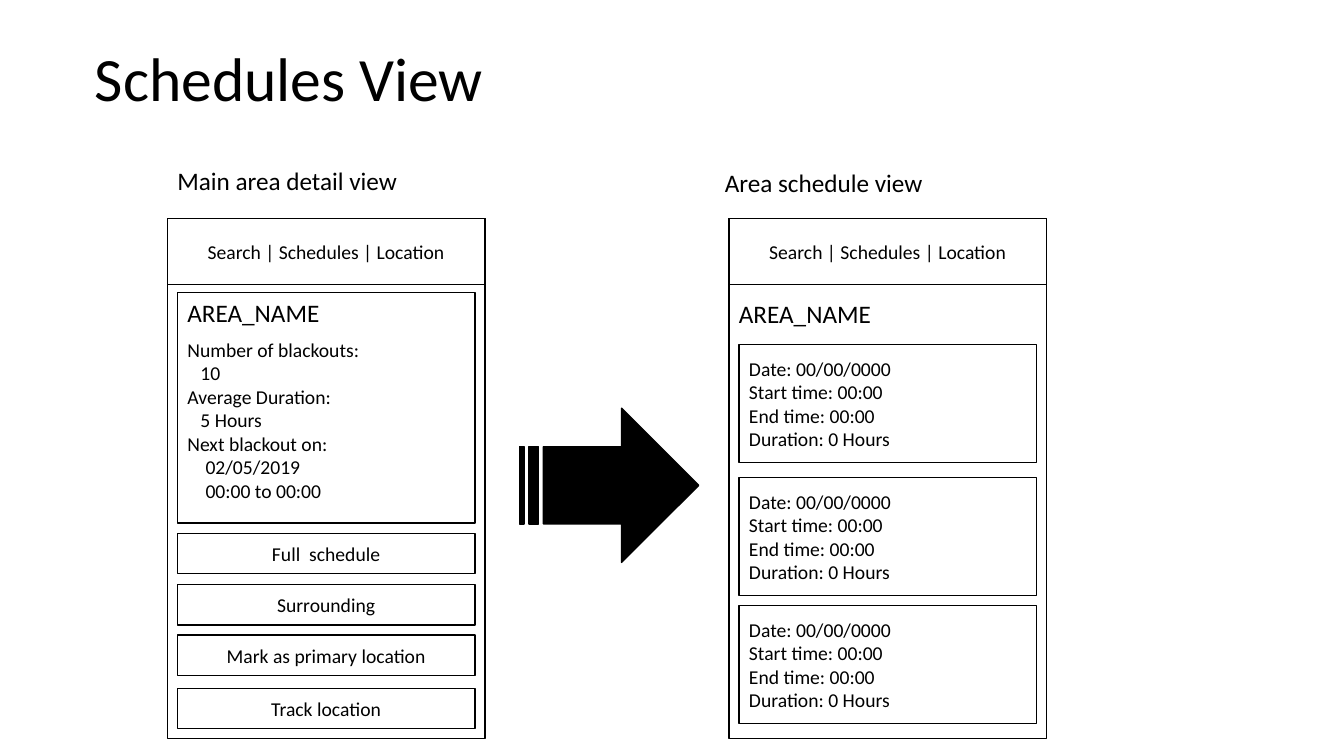
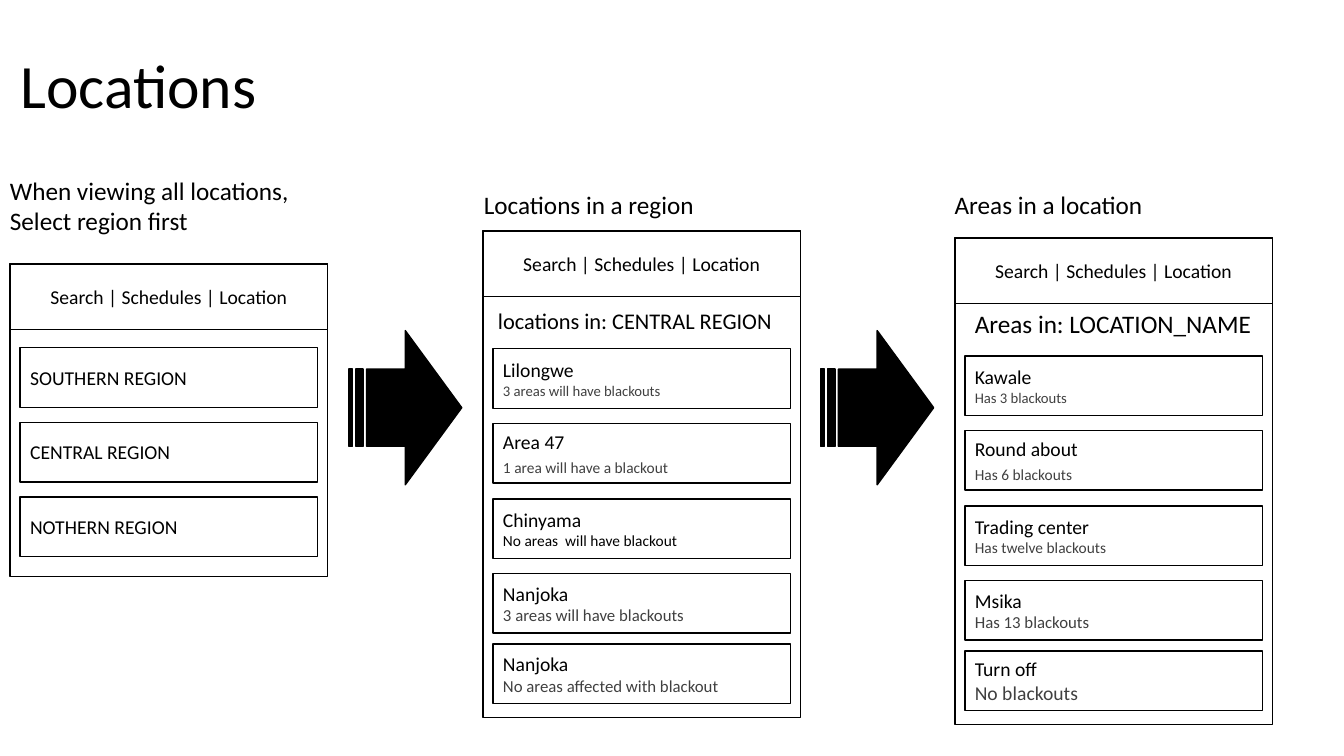
from pptx import Presentation
from pptx.dml.color import RGBColor
from pptx.enum.shapes import MSO_SHAPE
from pptx.enum.text import MSO_ANCHOR, MSO_AUTO_SIZE, PP_ALIGN
from pptx.util import Inches, Pt

RECT, ARROW = MSO_SHAPE.RECTANGLE, MSO_SHAPE.STRIPED_RIGHT_ARROW
LEFT, CENTER = PP_ALIGN.LEFT, PP_ALIGN.CENTER
TOP, MIDDLE = MSO_ANCHOR.TOP, MSO_ANCHOR.MIDDLE
FIXED = MSO_AUTO_SIZE.NONE

COLORS = {"ink": "000000", "paper": "FFFFFF", "muted": "404040"}
FONT = "Calibri"
MENU = "Search | Schedules | Location"
WIDE, PAD, INNER, BAR = 3.15, 0.1, 2.95, 0.65
ROWS = (1.17, 1.91, 2.66, 3.4, 4.1)


def color(name):
    """Return the named colour."""
    return RGBColor.from_string(COLORS[name])


def write(frame, lines, size=14, align=LEFT, anchor=MIDDLE, top=0.05, lead=None):
    """Fill a text frame with lines, each a string or a (string, format) pair."""
    frame.word_wrap, frame.auto_size = True, FIXED
    frame.vertical_anchor = anchor
    frame.margin_left = frame.margin_right = Inches(0.1)
    frame.margin_top, frame.margin_bottom = Inches(top), Inches(0.05)
    for index, line in enumerate(lines):
        text, form = (line, {}) if isinstance(line, str) else line
        para = frame.add_paragraph() if index else frame.paragraphs[0]
        para.alignment, para.line_spacing = align, lead
        para.space_before = Pt(form.get("gap", 0))
        if "indent" in form:
            props = para._p.get_or_add_pPr()
            props.set("marL", str(Inches(form["indent"])))
            props.set("indent", "0")
        run = para.add_run()
        run.text = text
        run.font.name, run.font.size = FONT, Pt(form.get("size", size))
        run.font.color.rgb = color(form.get("color", "ink"))


def place(slide, box, lines=(), kind=RECT, fill="paper", **form):
    """Draw an outlined shape with optional text."""
    shape = slide.shapes.add_shape(kind, *map(Inches, box))
    shape.shadow.inherit = False
    if fill:
        shape.fill.solid()
        shape.fill.fore_color.rgb = color(fill)
    else:
        shape.fill.background()
    shape.line.color.rgb, shape.line.width = color("ink"), Pt(1)
    if lines:
        write(shape.text_frame, lines, **form)


def label(slide, box, *lines, size=18):
    """Add a plain text box."""
    area = slide.shapes.add_textbox(*map(Inches, box))
    write(area.text_frame, lines, size=size, anchor=TOP)


def phone(slide, x, y, high):
    """Draw a screen outline with its menu bar."""
    place(slide, (x, y, WIDE, high), fill=None)
    place(slide, (x, y, WIDE, BAR), [MENU], align=CENTER)


def stack(slide, x, y, tops, high, items, **form):
    """Place one card for each item at the given drops below y."""
    for top, lines in zip(tops, items):
        place(slide, (x + PAD, y + top, INNER, high), lines, **form)


def detail(slide, x, y):
    """Draw the main area detail screen."""
    phone(slide, x, y, 5.16)
    label(slide, (x + PAD, y + 0.73, 3.05, 0.4), "AREA_NAME")
    near, far = {"indent": 0.13}, {"indent": 0.18}
    facts = ["Number of blackouts:", ("10", near),
             "Average Duration:", ("5 Hours", near),
             "Next blackout on:", ("02/05/2019", far), ("00:00 to 00:00", far)]
    place(slide, (x + PAD, y + 0.73, INNER, 2.29), facts, fill=None,
          anchor=TOP, top=0.45)
    names = ("Full  schedule", "Surrounding", "Mark as primary location", "Track location")
    stack(slide, x, y, (3.12, 3.63, 4.13, 4.66), 0.4,
          [[name] for name in names], align=CENTER)


def times(slide, x, y):
    """Draw the area schedule screen."""
    phone(slide, x, y, 5.16)
    label(slide, (x, y + 0.74, WIDE, 0.4), "AREA_NAME")
    card = ["Date: 00/00/0000", "Start time: 00:00", "End time: 00:00",
            "Duration: 0 Hours"]
    stack(slide, x, y, (1.25, 2.57, 3.84), 1.17, [card] * 3)


def regions(slide, x, y):
    """Draw the region choice screen."""
    phone(slide, x, y, 3.1)
    names = ("SOUTHERN", "CENTRAL", "NOTHERN")
    stack(slide, x, y, (0.83, 1.57, 2.31), 0.59, [[f"{name} REGION"] for name in names])


def places(slide, x, y, items):
    """Draw a screen that lists places with a note under each name."""
    phone(slide, x, y, 4.83)
    cards = [[name, (note, {"color": "muted", **form})] for name, note, form in items]
    stack(slide, x, y, ROWS, 0.59, cards)


def start(deck, text, x, y):
    """Add a slide with its title."""
    slide = deck.slides.add_slide(deck.slide_layouts[5])
    title = slide.shapes.title
    title.left, title.top, title.width, title.height = map(Inches, (x, y, 11.5, 1.45))
    write(title.text_frame, [text], size=44, lead=0.9)
    return slide


def main():
    """Build and save the deck."""
    deck = Presentation()
    deck.slide_width, deck.slide_height = Inches(13.33), Inches(7.5)

    slide = start(deck, "Schedules View", 0.84, 0.08)
    label(slide, (1.66, 1.59, 3.05, 0.4), "Main area detail view")
    detail(slide, 1.66, 2.17)
    place(slide, (5.15, 4.05, 1.78, 1.53), kind=ARROW, fill="ink")
    label(slide, (7.09, 1.61, 3.05, 0.4), "Area schedule view")
    times(slide, 7.23, 2.17)

    slide = start(deck, "Locations", 0.1, 0.15)
    label(slide, (0, 1.69, WIDE, 0.71), "When viewing all locations,", "Select region first")
    regions(slide, 0.1, 2.62)
    for x in (3.46, 8.14):
        place(slide, (x, 3.28, 1.12, 1.53), kind=ARROW, fill="ink")
    label(slide, (4.7, 1.83, WIDE, 0.4), "Locations in a region")
    places(slide, 4.79, 2.29, [
        ("Lilongwe", "3 areas will have blackouts", {"size": 10.5}),
        ("Area 47", "1 area will have a blackout", {"size": 11, "gap": 3}),
        ("Chinyama", "No areas  will have blackout", {"size": 11, "color": "ink"}),
        ("Nanjoka", "3 areas will have blackouts", {"size": 12}),
        ("Nanjoka", "No areas affected with blackout", {"size": 12})])
    label(slide, (4.84, 3, WIDE, 0.37), "locations in: CENTRAL REGION", size=16)
    label(slide, (9.37, 1.83, WIDE, 0.4), "Areas in a location")
    places(slide, 9.47, 2.36, [
        ("Kawale", "Has 3 blackouts", {"size": 10.5}),
        ("Round about", "Has 6 blackouts", {"size": 11, "gap": 3}),
        ("Trading center", "Has twelve blackouts", {"size": 11}),
        ("Msika", "Has 13 blackouts", {"size": 12}),
        ("Turn off", "No blackouts", {})])
    label(slide, (9.57, 3.01, WIDE, 0.4), "Areas in: LOCATION_NAME")

    deck.save("out.pptx")


if __name__ == "__main__":
    main()
